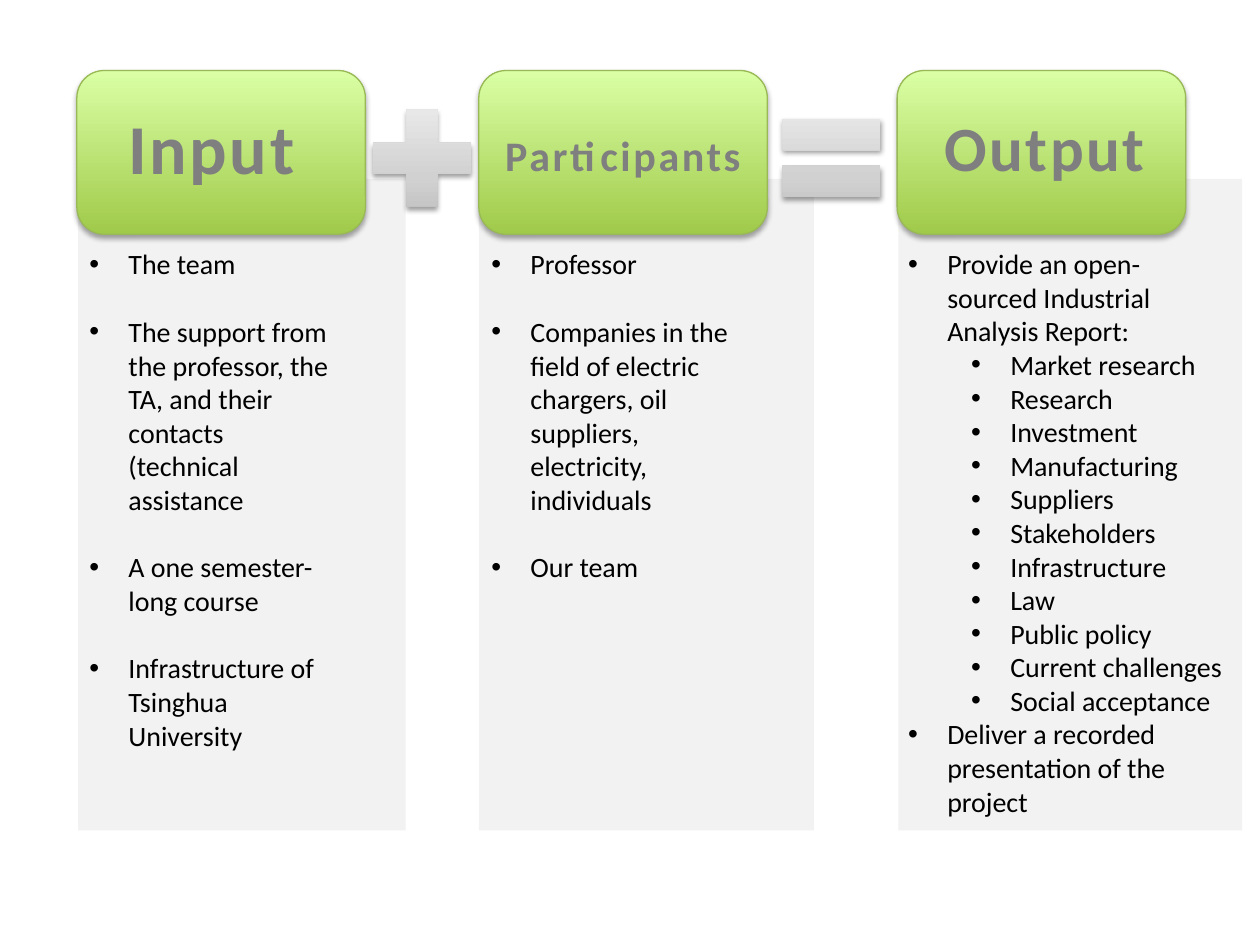
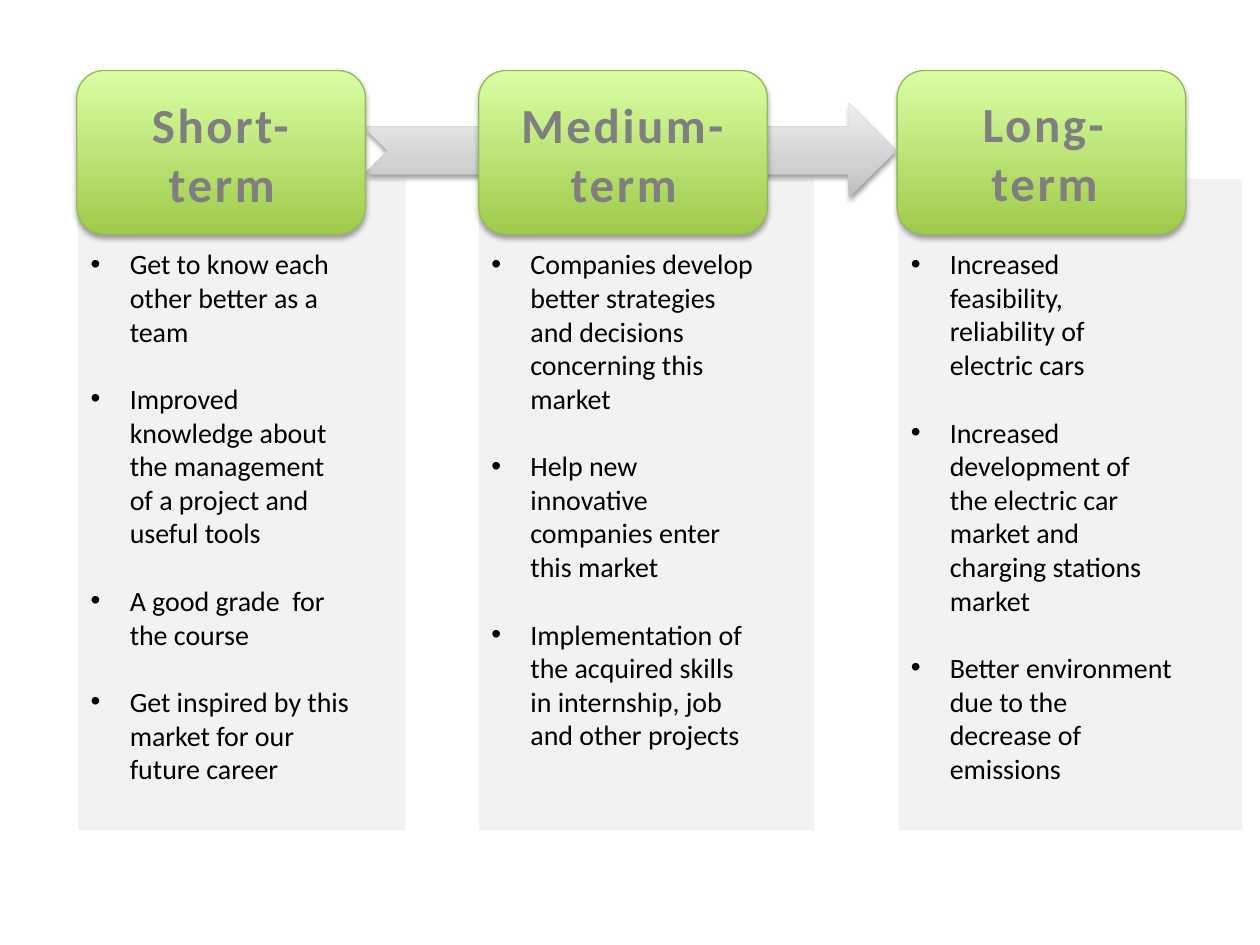
from lxml.etree import SubElement
from pptx import Presentation
from pptx.dml.color import RGBColor
from pptx.enum.shapes import MSO_SHAPE as Preset
from pptx.enum.text import MSO_ANCHOR as Anchor, MSO_AUTO_SIZE as AutoSize, PP_ALIGN as Align
from pptx.oxml.ns import qn
from pptx.util import Inches, Pt

COLUMNS, ROWS = 100, 75
COMPARISON_LAYOUT = 4
HEADING_PLACEHOLDERS = (0, 1, 3)
LIST_PLACEHOLDERS = (2, 4, None)
CARD_LEFTS = (6.1, 38, 71.2)
PANELS = ((6.2, 26), (38, 26.6), (71.3, 27.3))
GREEN = ((0, "A0CA4A"), (100, "DAFFA5"))
GREY = ((0, "BDBDBD"), (35, "D1D1D1"), (100, "EEEEEE"))


def colour(hex_string):
    return RGBColor.from_string(hex_string)


def add_xml(parent, tag, **attributes):
    return SubElement(parent, qn(tag), {name: str(value) for name, value in attributes.items()})


def write_text(shape, items, size, color="000000", bold=False, align=Align.LEFT,
               tracking=0, bullets=False, gap=0):
    frame = shape.text_frame
    frame.word_wrap = True
    frame.auto_size = AutoSize.NONE
    frame.vertical_anchor = Anchor.TOP
    for position, item in enumerate(items):
        level, words = item if isinstance(item, tuple) else (0, item)
        paragraph = frame.add_paragraph() if position else frame.paragraphs[0]
        paragraph.level = level
        paragraph.alignment = align
        paragraph.space_before = Pt(gap if position else 0)
        run = paragraph.add_run()
        run.text = words
        run.font.name = "Calibri"
        run.font.size = Pt(size)
        run.font.bold = bold
        run.font.color.rgb = colour(color)
        if tracking:
            run._r.get_or_add_rPr().set("spc", str(round(tracking * 100)))
        if bullets:
            properties = paragraph._p.get_or_add_pPr()
            properties.set("marL", str(Inches(0.31 + 0.5 * level)))
            properties.set("indent", str(-Inches(0.31)))
            add_xml(properties, "a:buFont", typeface="Arial")
            add_xml(properties, "a:buChar", char="•")


class Deck:
    def __init__(self):
        self.presentation = Presentation()
        self.presentation.slide_width = Inches(10)
        self.presentation.slide_height = Inches(7.5)
        self.slide = None

    def new_slide(self):
        layout = self.presentation.slide_layouts[COMPARISON_LAYOUT]
        self.slide = self.presentation.slides.add_slide(layout)

    def box(self, left, top, width, height):
        column = self.presentation.slide_width / COLUMNS
        row = self.presentation.slide_height / ROWS
        return [round(length) for length in
                (left * column, top * row, width * column, height * row)]

    def shape(self, preset, area):
        shape = self.slide.shapes.add_shape(preset, *self.box(*area))
        shape.shadow.inherit = False
        shape.line.fill.background()
        return shape

    def panel(self, left, width):
        shape = self.shape(Preset.RECTANGLE, (left, 14.2, width, 51.7))
        shape.fill.solid()
        shape.fill.fore_color.rgb = colour("F2F2F2")

    def glossy(self, preset, area, stops, shadow_alpha):
        shape = self.shape(preset, area)
        shape.fill.gradient()
        shape.fill.gradient_angle = 90
        properties = shape._element.spPr
        stop_list = properties.find(".//" + qn("a:gsLst"))
        for stop in list(stop_list):
            stop_list.remove(stop)
        for percent, color in stops:
            stop = add_xml(stop_list, "a:gs", pos=percent * 1000)
            add_xml(stop, "a:srgbClr", val=color)
        shadow = add_xml(properties.find(qn("a:effectLst")), "a:outerShdw", blurRad=Pt(3.1),
                         dist=Pt(1.8), dir=90 * 60000, rotWithShape=0)
        shadow_color = add_xml(shadow, "a:srgbClr", val="000000")
        add_xml(shadow_color, "a:alpha", val=shadow_alpha * 1000)
        return shape

    def card(self, left):
        shape = self.glossy(Preset.ROUNDED_RECTANGLE, (left, 5.6, 22.9, 13), GREEN, 35)
        shape.line.color.rgb = colour("98B955")
        shape.line.width = Pt(0.75)

    def sign(self, preset, area):
        self.glossy(preset, area, GREY, 38)

    def text_holder(self, index, area):
        box = self.box(*area)
        if index is None:
            return self.slide.shapes.add_textbox(*box)
        shape = self.slide.placeholders[index]
        shape.left, shape.top, shape.width, shape.height = box
        self.slide.shapes._spTree.append(shape._element)
        return shape

    def heading(self, index, words, size, area):
        write_text(self.text_holder(index, area), [words], size, color="7F7F7F", bold=True,
                   align=Align.CENTER, tracking=1.5)

    def bullet_list(self, index, items, left, width, gap=19.4):
        shape = self.text_holder(index, (left, 19.1, width, 46.8))
        write_text(shape, items, 16, bullets=True, gap=gap)

    def three_columns(self, signs, headings, lists):
        self.new_slide()
        for panel in PANELS:
            self.panel(*panel)
        for sign in signs:
            self.sign(*sign)
        for left in CARD_LEFTS:
            self.card(left)
        for index, heading in zip(HEADING_PLACEHOLDERS, headings):
            self.heading(index, *heading)
        for index, content in zip(LIST_PLACEHOLDERS, lists):
            self.bullet_list(index, *content)


def main():
    deck = Deck()
    report_topics = ("Market research", "Research", "Investment", "Manufacturing", "Suppliers",
                     "Stakeholders", "Infrastructure", "Law", "Public policy",
                     "Current challenges", "Social acceptance")
    deck.three_columns(
        signs=[(Preset.MATH_PLUS, (28.2, 7.3, 10.6, 10.5)),
               (Preset.MATH_EQUAL, (60.7, 7.3, 10.6, 10.5))],
        headings=[("Input", 40, (7.2, 7.8, 19.2, 7.7)),
                  ("Participants", 24, (38, 9.8, 22.9, 5)),
                  ("Output", 36, (73.3, 8.1, 19.2, 7.1))],
        lists=[(["The team",
                 "The support from the professor, the TA, and their contacts "
                 "(technical assistance",
                 "A one semester-long course",
                 "Infrastructure of Tsinghua University"], 6.1, 21.6),
               (["Professor",
                 "Companies in the field of electric chargers, oil suppliers, "
                 "electricity, individuals",
                 "Our team"], 38, 22.9),
               (["Provide an open-sourced Industrial Analysis Report:",
                 *[(1, topic) for topic in report_topics],
                 "Deliver a recorded presentation of the project"], 71.1, 27.5, 0)])
    deck.three_columns(
        signs=[(Preset.NOTCHED_RIGHT_ARROW, (28.9, 8.2, 42.2, 7.5))],
        headings=[("Short-term", 28, (8, 7, 19.2, 10.4)),
                  ("Medium-term", 28, (39.9, 7, 19.2, 10.4)),
                  ("Long-term", 28, (73.3, 6.9, 19.2, 10.4))],
        lists=[(["Get to know each other better as a team",
                 "Improved knowledge about the management of a project and useful tools",
                 "A good grade  for the course",
                 "Get inspired by this market for our future career"], 6.2, 22.7),
               (["Companies develop better strategies and decisions concerning this market",
                 "Help new innovative companies enter this market",
                 "Implementation of the acquired skills in internship, job and other projects"],
                38, 22.9),
               (["Increased feasibility, reliability of electric cars",
                 "Increased development of the electric car market and charging stations market",
                 "Better environment due to the decrease of emissions"], 71.3, 22.8)])
    deck.presentation.save("out.pptx")


if __name__ == "__main__":
    main()
